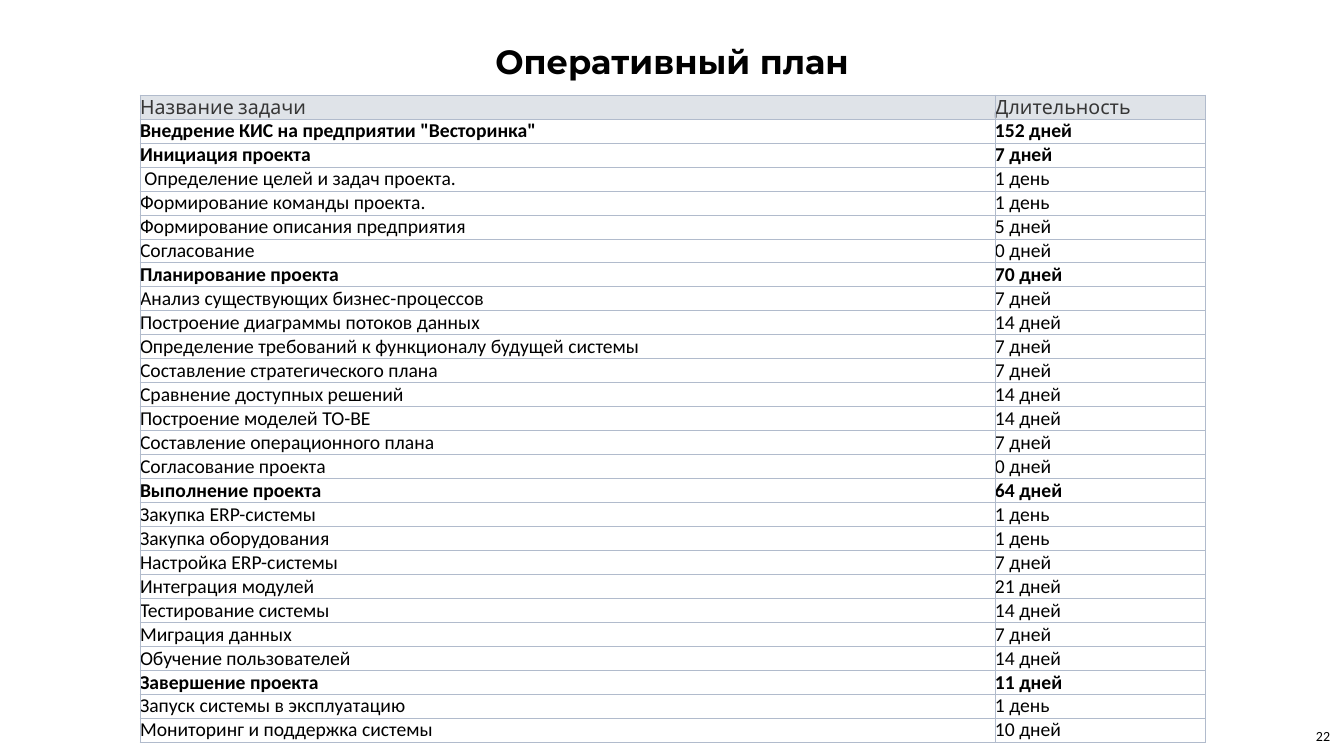
from lxml.etree import SubElement
from pptx import Presentation
from pptx.dml.color import RGBColor
from pptx.enum.text import MSO_ANCHOR, PP_ALIGN
from pptx.oxml.ns import qn
from pptx.util import Pt

SCALE = 914400 / 100.8
SIDES = ("margin_left", "margin_top", "margin_right", "margin_bottom")

HEAD = ("Название задачи", "Длительность")
TASKS = [
    ('Внедрение КИС на предприятии "Весторинка"', "152 дней", True),
    ("Инициация проекта", "7 дней", True),
    (" Определение целей и задач проекта.", "1 день", False),
    ("Формирование команды проекта.", "1 день", False),
    ("Формирование описания предприятия", "5 дней", False),
    ("Согласование", "0 дней", False),
    ("Планирование проекта", "70 дней", True),
    ("Анализ существующих бизнес-процессов", "7 дней", False),
    ("Построение диаграммы потоков данных", "14 дней", False),
    ("Определение требований к функционалу будущей системы", "7 дней", False),
    ("Составление стратегического плана", "7 дней", False),
    ("Сравнение доступных решений", "14 дней", False),
    ("Построение моделей TO-BE", "14 дней", False),
    ("Составление операционного плана", "7 дней", False),
    ("Согласование проекта", "0 дней", False),
    ("Выполнение проекта", "64 дней", True),
    ("Закупка ERP-системы", "1 день", False),
    ("Закупка оборудования", "1 день", False),
    ("Настройка ERP-системы", "7 дней", False),
    ("Интеграция модулей", "21 дней", False),
    ("Тестирование системы", "14 дней", False),
    ("Миграция данных", "7 дней", False),
    ("Обучение пользователей", "14 дней", False),
    ("Завершение проекта", "11 дней", True),
    ("Запуск системы в эксплуатацию", "1 день", False),
    ("Мониторинг и поддержка системы", "10 дней", False),
]

TITLE = {"name": "Montserrat", "size": Pt(24), "bold": True}
NUMBER = {"name": "Calibri", "size": Pt(10)}
LABEL = {"name": "Cabin", "size": Pt(14), "bold": False}
BODY = {"name": "Calibri", "size": Pt(14)}


def px(count):
    return round(count * SCALE)


def color(code):
    return RGBColor.from_string(code)


def apply(target, values):
    for name, value in values.items():
        setattr(target, name, value)


def write(frame, text, font, tint="000000", align=PP_ALIGN.LEFT):
    line = frame.paragraphs[0]
    line.alignment = align
    run = line.add_run()
    run.text = text
    apply(run.font, font)
    run.font.color.rgb = color(tint)


def label(slide, box, text, font, pads, anchor, align):
    frame = slide.shapes.add_textbox(*map(px, box)).text_frame
    apply(frame, {"word_wrap": True, "vertical_anchor": anchor})
    apply(frame, dict(zip(SIDES, map(px, pads))))
    write(frame, text, font, align=align)


def border(cell, tint):
    props = cell._tc.get_or_add_tcPr()
    for index, side in enumerate(("lnL", "lnR", "lnT", "lnB")):
        line = SubElement(props, qn(f"a:{side}"), w=str(Pt(0.5)))
        fill = SubElement(line, qn("a:solidFill"))
        SubElement(fill, qn("a:srgbClr"), val=tint)
        props.remove(line)
        props.insert(index, line)


def fill_cell(cell, text, font, tint, back):
    apply(cell, dict.fromkeys(SIDES, 0))
    cell.vertical_anchor = MSO_ANCHOR.MIDDLE
    write(cell.text_frame, text, font, tint)
    cell.fill.solid()
    cell.fill.fore_color.rgb = color(back)
    border(cell, "B1BBCC")


def plan(slide, box):
    left, top, width, height = box
    count = len(TASKS) + 1
    table = slide.shapes.add_table(count, 2, *map(px, box)).table
    apply(table, {"first_row": False, "horz_banding": False})
    side = 210
    for column, size in zip(table.columns, (width - side, side)):
        column.width = px(size)
    for row in table.rows:
        row.height = px(height // count)
    for index, text in enumerate(HEAD):
        fill_cell(table.cell(0, index), text, LABEL, "363636", "DFE3E8")
    for number, (task, days, bold) in enumerate(TASKS, 1):
        for index, text in enumerate((task, days)):
            font = {**BODY, "bold": bold}
            fill_cell(table.cell(number, index), text, font, "000000", "FFFFFF")


def main():
    deck = Presentation()
    deck.slide_width, deck.slide_height = px(1344), px(756)
    slide = deck.slides.add_slide(deck.slide_layouts[6])
    label(slide, (0, 31, 1344, 61), "Оперативный план", TITLE,
          (10, 10, 10, 10), MSO_ANCHOR.TOP, PP_ALIGN.CENTER)
    plan(slide, (140, 95, 1065, 648))
    label(slide, (1308, 715, 35, 41), "22", NUMBER,
          (8, 4, 8, 4), MSO_ANCHOR.MIDDLE, PP_ALIGN.LEFT)
    deck.save("out.pptx")


if __name__ == "__main__":
    main()
